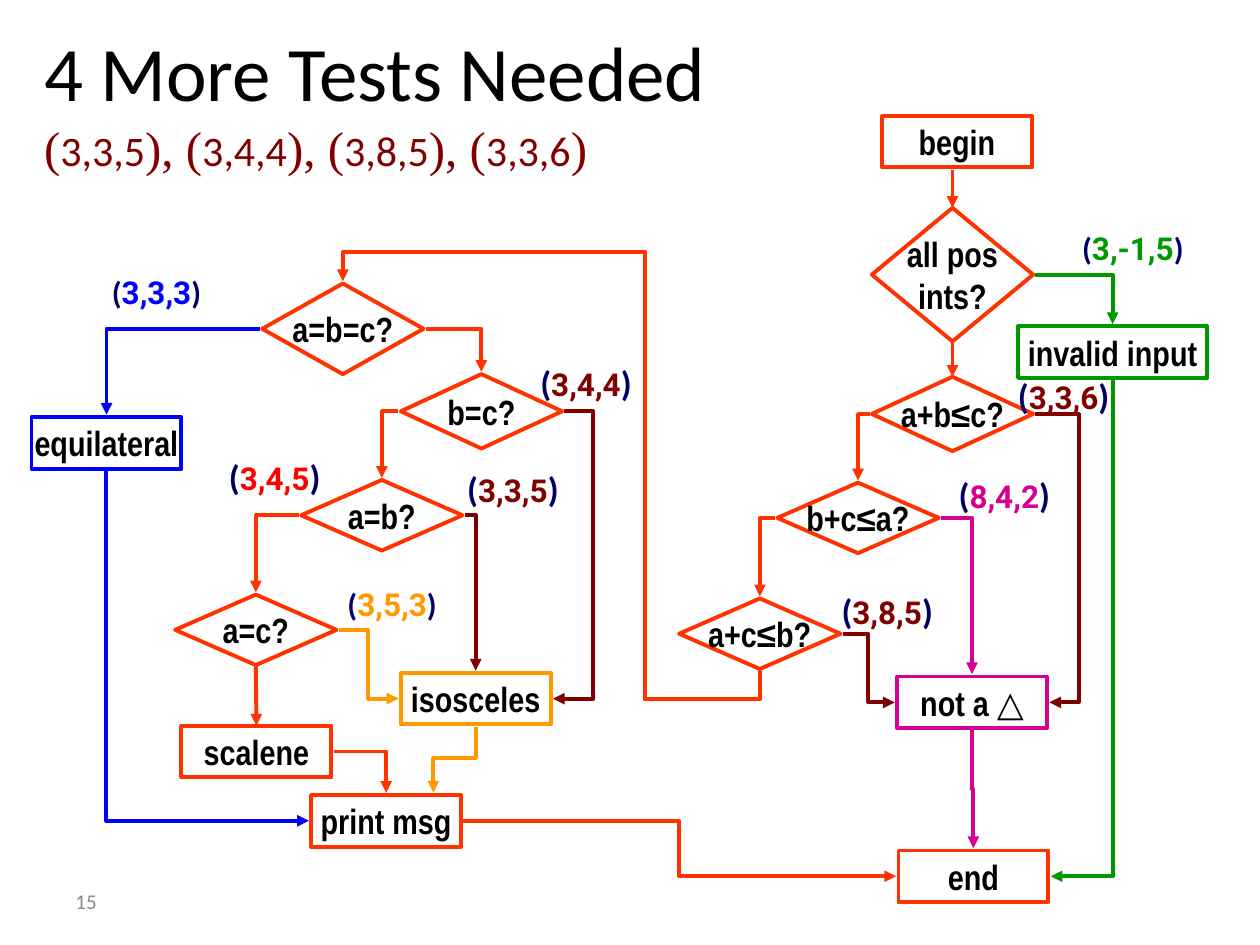
from dataclasses import dataclass

from lxml import etree
from pptx import Presentation
from pptx.dml.color import RGBColor
from pptx.enum.shapes import MSO_CONNECTOR, MSO_SHAPE
from pptx.enum.text import MSO_ANCHOR, MSO_AUTO_SIZE, PP_ALIGN
from pptx.oxml.ns import qn
from pptx.util import Pt

RECT, DIAMOND = MSO_SHAPE.RECTANGLE, MSO_SHAPE.DIAMOND
STRAIGHT, ELBOW = MSO_CONNECTOR.STRAIGHT, MSO_CONNECTOR.ELBOW
LEFT, CENTER = PP_ALIGN.LEFT, PP_ALIGN.CENTER
MIDDLE = MSO_ANCHOR.MIDDLE
FIT_SHAPE, NO_FIT = MSO_AUTO_SIZE.SHAPE_TO_FIT_TEXT, MSO_AUTO_SIZE.NONE

BLACK = RGBColor(0x00, 0x00, 0x00)
WHITE = RGBColor(0xFF, 0xFF, 0xFF)
GRAY = RGBColor(0x89, 0x89, 0x89)
NAVY = RGBColor(0x00, 0x00, 0x66)
BLUE = RGBColor(0x00, 0x00, 0xFF)
RED = RGBColor(0xFF, 0x00, 0x00)
VERMILION = RGBColor(0xFF, 0x33, 0x00)
ORANGE = RGBColor(0xFF, 0x99, 0x00)
GREEN = RGBColor(0x00, 0x99, 0x00)
PINK = RGBColor(0xD6, 0x00, 0x93)
MAROON = RGBColor(0x80, 0x00, 0x00)

LINE_WIDTH = 2.25
GAP = 1.3  # space between a node and its elbow connector
BOX_W, BOX_H, DIAMOND_W = 85.7, 29.5, 92.2


@dataclass
class Node:
    text: str
    x: float
    y: float
    color: RGBColor = VERMILION
    kind: int = RECT
    w: float = BOX_W
    h: float = BOX_H

    def port(self, side: str) -> tuple[float, float]:
        cx, cy = self.x + self.w / 2, self.y + self.h / 2
        return {"T": (cx, self.y - GAP), "B": (cx, self.y + self.h + GAP),
                "L": (self.x - GAP, cy), "R": (self.x + self.w + GAP, cy)}[side]


@dataclass
class Route:
    src: str
    src_side: str
    dst: str
    dst_side: str
    rot: int
    color: RGBColor = VERMILION
    turns: tuple[float, ...] = ()  # positions of the middle segments
    shift: float = 0  # sideways offset of the arrowhead


@dataclass
class Label:
    text: str
    x: float
    y: float
    color: RGBColor
    w: float = 67.7
    paren: int = 20


def decision(text: str, x: float, y: float, h: float) -> Node:
    return Node(text, x, y, kind=DIAMOND, w=DIAMOND_W, h=h)


NODES = [
    decision("a=b=c?", 149.8, 162, 51.8),
    decision("b=c?", 229, 213.8, 42.5),
    decision("a=b?", 172.1, 274.3, 40.3),
    decision("a=c?", 100.1, 339.8, 40.3),
    Node("equilateral", 18, 238.3, BLUE),
    Node("scalene", 103.7, 414.7),
    Node("isosceles", 229, 384.5, ORANGE),
    Node("print msg", 177.8, 454.3),
    Node("begin", 504, 66.2),
    decision("all pos\nints?", 498.2, 118.8, 76.3),
    decision("a+b≤c?", 498.2, 215.3, 42.5),
    decision("b+c≤a?", 444.2, 275.8, 40.3),
    decision("a+c≤b?", 388.1, 342, 40.3),
    Node("invalid input", 581.8, 186.5, GREEN, w=108),
    Node("not a △", 512.6, 386.6, PINK),
    Node("end", 513.4, 486),
]

STRAIGHT_ARROWS = [("begin", "all pos\nints?"), ("all pos\nints?", "a+b≤c?"),
                   ("a=c?", "scalene")]

ROUTES = [
    Route("a=b=c?", "L", "equilateral", "T", 180, BLUE),
    Route("equilateral", "B", "print msg", "L", 270, BLUE),
    Route("a=b=c?", "R", "b=c?", "T", 0),
    Route("b=c?", "L", "a=b?", "T", 180),
    Route("b=c?", "R", "isosceles", "R", 0, MAROON, (339.1,)),
    Route("a=b?", "L", "a=c?", "T", 180),
    Route("a=b?", "R", "isosceles", "T", 0, MAROON),
    Route("a=c?", "R", "isosceles", "L", 0, ORANGE, (210.2,)),
    Route("scalene", "R", "print msg", "T", 0),
    Route("isosceles", "B", "print msg", "T", 90, ORANGE, (433.4,), 27),
    Route("a+c≤b?", "B", "a=b=c?", "T", 270, turns=(399.6, 368.6, 144)),
    Route("all pos\nints?", "R", "invalid input", "T", 0, GREEN),
    Route("a+b≤c?", "L", "b+c≤a?", "T", 180),
    Route("a+b≤c?", "R", "not a △", "R", 0, MAROON, (616.3,)),
    Route("b+c≤a?", "L", "a+c≤b?", "T", 180),
    Route("b+c≤a?", "R", "not a △", "T", 0, PINK),
    Route("a+c≤b?", "R", "not a △", "L", 0, MAROON, (496.1,)),
    Route("invalid input", "B", "end", "R", 90, GREEN),
    Route("not a △", "B", "end", "T", 270, PINK, (450.7,)),
    Route("print msg", "R", "end", "L", 0, turns=(388.1,)),
]

LABELS = [
    Label("3,3,3", 56.9, 152.6, BLUE, 67, 18),
    Label("3,4,5", 123.8, 257, RED),
    Label("3,5,3", 191.5, 330.5, ORANGE, 67, 18),
    Label("8,4,2", 540.7, 267.1, PINK),
    Label("3,-1,5", 611.3, 127.4, GREEN, 72.7, 18),
    Label("3,3,5", 259.9, 263.5, MAROON),
    Label("3,4,4", 301.7, 203, MAROON),
    Label("3,8,5", 473.8, 333.4, MAROON),
    Label("3,3,6", 574.6, 210.2, MAROON),
]


def add_run(p, text: str, size: float, font: str, color: RGBColor, bold: bool = False) -> None:
    for i, line in enumerate(text.split("\n")):
        if i:
            p.add_line_break()
        if line:
            r = p.add_run()
            r.text = line
            r.font.size, r.font.name, r.font.bold = Pt(size), font, bold
            r.font.color.rgb = color


def draw_node(s, node: Node):
    sp = s.shapes.add_shape(node.kind, Pt(node.x), Pt(node.y), Pt(node.w), Pt(node.h))
    sp.shadow.inherit = False
    sp.fill.solid()
    sp.fill.fore_color.rgb = WHITE
    sp.line.color.rgb = node.color
    sp.line.width = Pt(LINE_WIDTH)
    tf = sp.text_frame
    tf.word_wrap, tf.vertical_anchor = False, MIDDLE
    p = tf.paragraphs[0]
    p.alignment = CENTER
    words, triangle, _ = node.text.partition("△")
    add_run(p, words, 20, "Arial Narrow", BLACK, True)
    add_run(p, triangle, 20, "Arial", BLACK, True)
    return sp


def add_arrow(s, kind: int, x1: float, y1: float, x2: float, y2: float, color: RGBColor):
    c = s.shapes.add_connector(kind, Pt(x1), Pt(y1), Pt(x2), Pt(y2))
    c.line.color.rgb = color
    c.line.width = Pt(LINE_WIDTH)
    spPr = c.element.spPr
    etree.SubElement(spPr.find(qn("a:ln")), qn("a:tailEnd"), type="triangle")
    etree.SubElement(spPr, qn("a:effectLst"))
    return c


def draw_route(s, route: Route, nodes: dict[str, Node]) -> None:
    start = nodes[route.src].port(route.src_side)
    x, y = nodes[route.dst].port(route.dst_side)
    end = (x + route.shift, y)
    dx, dy = end[0] - start[0], end[1] - start[1]
    # Size of the connector before it is turned about its centre
    du, dv = {0: (dx, dy), 90: (dy, -dx), 180: (-dx, -dy), 270: (-dy, dx)}[route.rot]
    cx, cy = (start[0] + end[0]) / 2, (start[1] + end[1]) / 2
    c = add_arrow(s, ELBOW, cx - du / 2, cy - dv / 2, cx + du / 2, cy + dv / 2, route.color)
    spPr = c.element.spPr
    spPr.find(qn("a:xfrm")).set("rot", str(route.rot * 60000))
    geom = spPr.find(qn("a:prstGeom"))
    geom.set("prst", f"bentConnector{len(route.turns) + 2}")
    guides = geom.find(qn("a:avLst"))
    first_axis = route.rot // 90 % 2
    for i, turn in enumerate(route.turns):
        axis = (first_axis + i) % 2
        share = (turn - start[axis]) / (end[axis] - start[axis])
        etree.SubElement(guides, qn("a:gd"), name=f"adj{i + 1}", fmla=f"val {round(share * 100000)}")


def draw_label(s, label: Label) -> None:
    height = 31.7 if label.paren == 20 else 28.8
    tf = s.shapes.add_textbox(Pt(label.x), Pt(label.y), Pt(label.w), Pt(height)).text_frame
    tf.word_wrap, tf.auto_size = False, FIT_SHAPE
    p = tf.paragraphs[0]
    add_run(p, "(", label.paren, "Calibri", NAVY, True)
    add_run(p, label.text, 18, "Roboto", label.color, True)
    add_run(p, ")", label.paren, "Calibri", NAVY, True)


def main() -> None:
    prs = Presentation()
    prs.slide_width, prs.slide_height = Pt(720), Pt(540)
    s = prs.slides.add_slide(prs.slide_layouts[5])

    # Title with the list of test cases
    title = s.shapes.title
    title.left, title.top, title.width, title.height = Pt(18), Pt(5.8), Pt(684), Pt(103)
    tf = title.text_frame
    tf.vertical_anchor, tf.auto_size = MIDDLE, NO_FIT
    p = tf.paragraphs[0]
    p.alignment = LEFT
    add_run(p, "4 More Tests Needed\n", 44, "Calibri", BLACK)
    opening = "("
    for case in ("3,3,5", "3,4,4", "3,8,5", "3,3,6"):
        add_run(p, opening, 28, "Times New Roman", MAROON)
        add_run(p, case, 24, "Calibri", MAROON)
        opening = "), ("
    add_run(p, ")", 28, "Times New Roman", MAROON)

    # Slide number
    tf = s.shapes.add_textbox(Pt(36), Pt(500.4), Pt(168), Pt(28.8)).text_frame
    tf.word_wrap, tf.vertical_anchor = True, MIDDLE
    add_run(tf.paragraphs[0], "15", 12, "Calibri", GRAY)

    # Flowchart nodes and arrows
    nodes = {node.text: node for node in NODES}
    shapes = {node.text: draw_node(s, node) for node in NODES}
    for src, dst in STRAIGHT_ARROWS:
        x, y = nodes[dst].port("T")
        src_x, src_y = nodes[src].port("B")
        c = add_arrow(s, STRAIGHT, x, src_y, x, y, VERMILION)
        if abs(src_x - x) < 1:
            c.begin_connect(shapes[src], 2)
        c.end_connect(shapes[dst], 0)
    for route in ROUTES:
        draw_route(s, route, nodes)

    # Test inputs beside the branches
    for label in LABELS:
        draw_label(s, label)
    prs.save("out.pptx")


if __name__ == "__main__":
    main()
